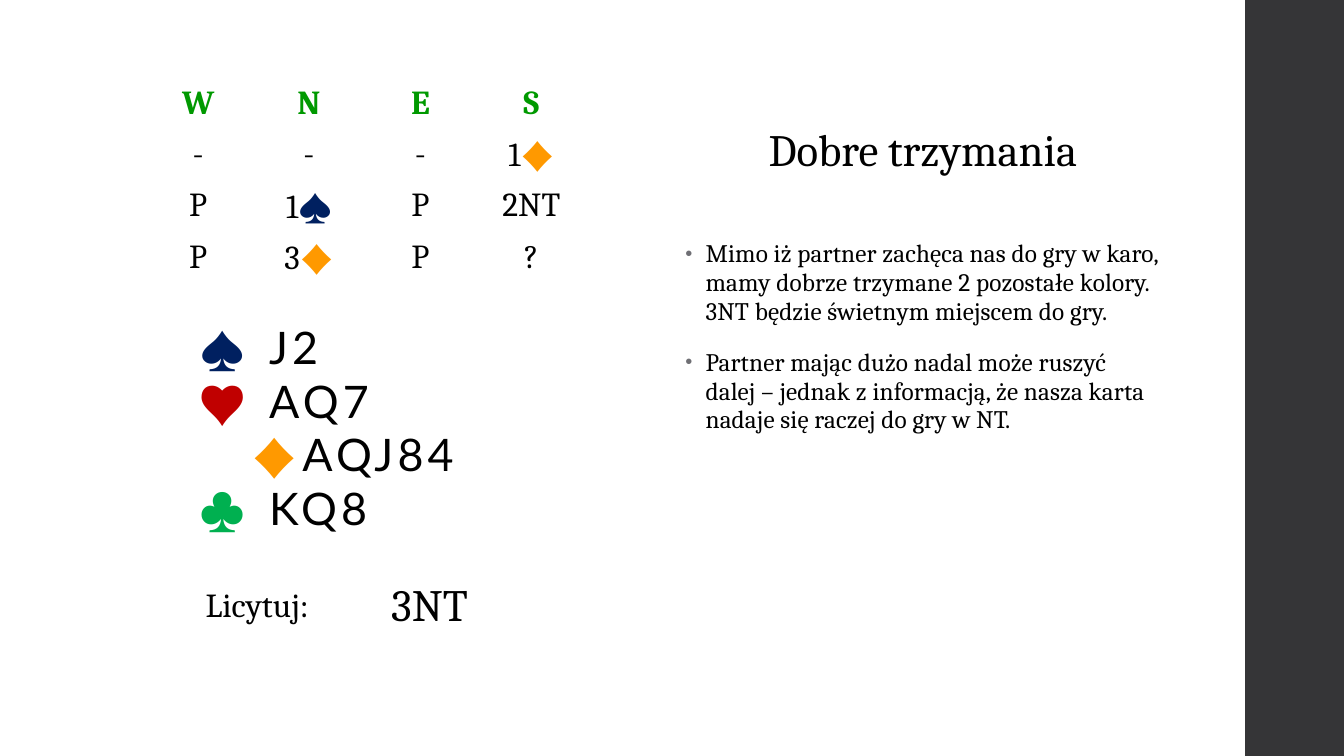
from dataclasses import dataclass

from lxml import etree
from pptx import Presentation
from pptx.dml.color import RGBColor
from pptx.enum.shapes import MSO_SHAPE
from pptx.enum.text import MSO_ANCHOR, PP_ALIGN
from pptx.oxml.ns import qn
from pptx.util import Inches, Pt

RECTANGLE = MSO_SHAPE.RECTANGLE
MIDDLE = MSO_ANCHOR.MIDDLE
LEFT, CENTER = PP_ALIGN.LEFT, PP_ALIGN.CENTER


@dataclass(frozen=True)
class Theme:
    serif: str = "Cambria"
    sans: str = "Lato"
    ink: str = "000000"
    side_bar: str = "353537"
    header: str = "009900"
    bullet: str = "6F6F74"
    spade: str = "002060"
    heart: str = "C00000"
    diamond: str = "FF9900"
    club: str = "00B050"
    body_size: int = 18
    table_size: int = 24
    title_size: int = 32


theme = Theme()
SUIT_COLORS = {"♠": theme.spade, "♥": theme.heart, "♦": theme.diamond, "♣": theme.club}


def add_span(para, text, size, color=theme.ink, face=theme.serif, bold=False, spacing=0):
    """Add a run; spacing is the letter spacing in points."""
    span = para.add_run()
    span.text = text
    for name, value in {"size": Pt(size), "name": face, "bold": bold}.items():
        setattr(span.font, name, value)
    span.font.color.rgb = RGBColor.from_string(color)
    if spacing:
        span.font._element.set("spc", str(round(spacing * 100)))


def add_plain_table(left, top, widths, row_count, row_height):
    """Add a table with no fill and no banding, its cells centred vertically."""
    frame = page.shapes.add_table(row_count, len(widths), Inches(left), Inches(top),
                                  Inches(sum(widths)), Inches(row_height * row_count))
    table = frame.table
    table.first_row = table.horz_banding = False
    for column, width in zip(table.columns, widths):
        column.width = Inches(width)
    for cell in table.iter_cells():
        cell.fill.background()
        cell.vertical_anchor = MIDDLE
    return table


deck = Presentation()
deck.slide_width, deck.slide_height = Inches(13.33), Inches(7.5)
page = deck.slides.add_slide(deck.slide_layouts[6])

side_bar = page.shapes.add_shape(RECTANGLE, Inches(12.35), 0, Inches(1), Inches(7.5))
side_bar.shadow.inherit = False
side_bar.fill.solid()
side_bar.fill.fore_color.rgb = RGBColor.from_string(theme.side_bar)
side_bar.line.fill.background()

# Bidding sequence
BIDS = [
    ["W", "N", "E", "S"],
    ["-", "-", "-", "1♦"],
    ["P", "1♠", "P", "2NT"],
    ["P", "3♦", "P", "?"],
]
bidding = add_plain_table(1.42, 0.79, [1.09, 1.11, 1.1, 1.1], len(BIDS), 0.41)
for row, bids in enumerate(BIDS):
    for column, bid in enumerate(bids):
        para = bidding.cell(row, column).text_frame.paragraphs[0]
        para.alignment = CENTER
        if row == 0:
            add_span(para, bid, theme.table_size, theme.header, bold=True)
        elif bid[-1] in SUIT_COLORS:
            add_span(para, bid[:-1], theme.table_size)
            add_span(para, bid[-1], theme.table_size, SUIT_COLORS[bid[-1]], theme.sans, spacing=3)
        else:
            add_span(para, bid, theme.table_size)

# Explanation
COMMENTARY = [
    "Mimo iż partner zachęca nas do gry w karo, mamy dobrze trzymane 2 pozostałe kolory. "
    "3NT będzie świetnym miejscem do gry.",
    "Partner mając dużo nadal może ruszyć dalej – jednak z informacją, że nasza karta "
    "nadaje się raczej do gry w NT.",
]
box = page.shapes.add_textbox(Inches(6.7), Inches(2.33), Inches(4.9), Inches(4.51))
box.text_frame.word_wrap = True
for index, text in enumerate(COMMENTARY):
    para = box.text_frame.add_paragraph() if index else box.text_frame.paragraphs[0]
    props = para._p.get_or_add_pPr()
    props.set("marL", str(Inches(0.2)))
    props.set("indent", str(Inches(-0.2)))
    bullet_color = etree.SubElement(props, qn("a:buClr"))
    etree.SubElement(bullet_color, qn("a:srgbClr"), val=theme.bullet)
    etree.SubElement(props, qn("a:buSzPct"), val="80000")
    etree.SubElement(props, qn("a:buFont"), typeface="Arial")
    etree.SubElement(props, qn("a:buChar"), char="•")
    spacing = {"line_spacing": 0.95, "space_before": Pt(14 if index else 0), "space_after": Pt(2)}
    for name, value in spacing.items():
        setattr(para, name, value)
    add_span(para, text, theme.body_size, spacing=0.1)

# Hand of cards
HAND = {"♠": "J2", "♥": "AQ7", "♦": "AQJ84", "♣": "KQ8"}
box = page.shapes.add_textbox(Inches(1.87), Inches(3.12), Inches(3.49), Inches(2.26))
box.text_frame.word_wrap = True
for index, (suit, cards) in enumerate(HAND.items()):
    para = box.text_frame.add_paragraph() if index else box.text_frame.paragraphs[0]
    props = para._p.get_or_add_pPr()
    if suit == "♦":
        props.set("marL", str(Inches(0.03)))
        props.set("indent", "0")
    tabs = etree.SubElement(props, qn("a:tabLst"))
    for position, side in [(0.5, "r"), (0.7, "l")]:
        etree.SubElement(tabs, qn("a:tab"), pos=str(Inches(position)), algn=side)
    for text, color in [(f"\t{suit}\t", SUIT_COLORS[suit]), (cards, theme.ink)]:
        add_span(para, text, theme.title_size, color, theme.sans, spacing=3)

# Title
box = page.shapes.add_textbox(Inches(6.7), Inches(1.15), Inches(4.91), Inches(0.64))
box.text_frame.word_wrap = True
box.text_frame.vertical_anchor = MIDDLE
para = box.text_frame.paragraphs[0]
para.alignment = CENTER
add_span(para, "Dobre trzymania", theme.title_size)

# Answer
answer = add_plain_table(1.32, 5.7, [2.46, 1.58], 1, 0.63)
ANSWER = [("Licytuj:", theme.table_size, CENTER), ("3NT", theme.title_size, LEFT)]
for column, (text, size, alignment) in enumerate(ANSWER):
    para = answer.cell(0, column).text_frame.paragraphs[0]
    para.alignment = alignment
    add_span(para, text, size)

deck.save("out.pptx")
